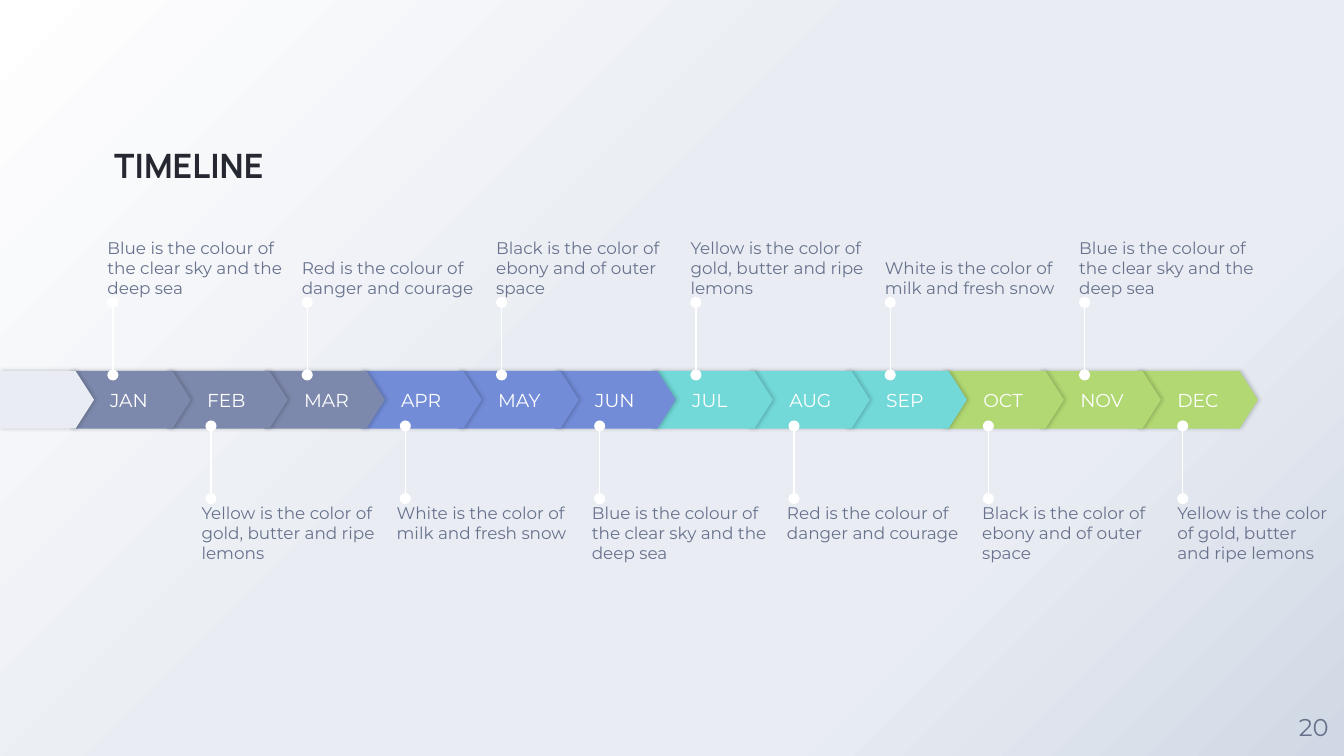
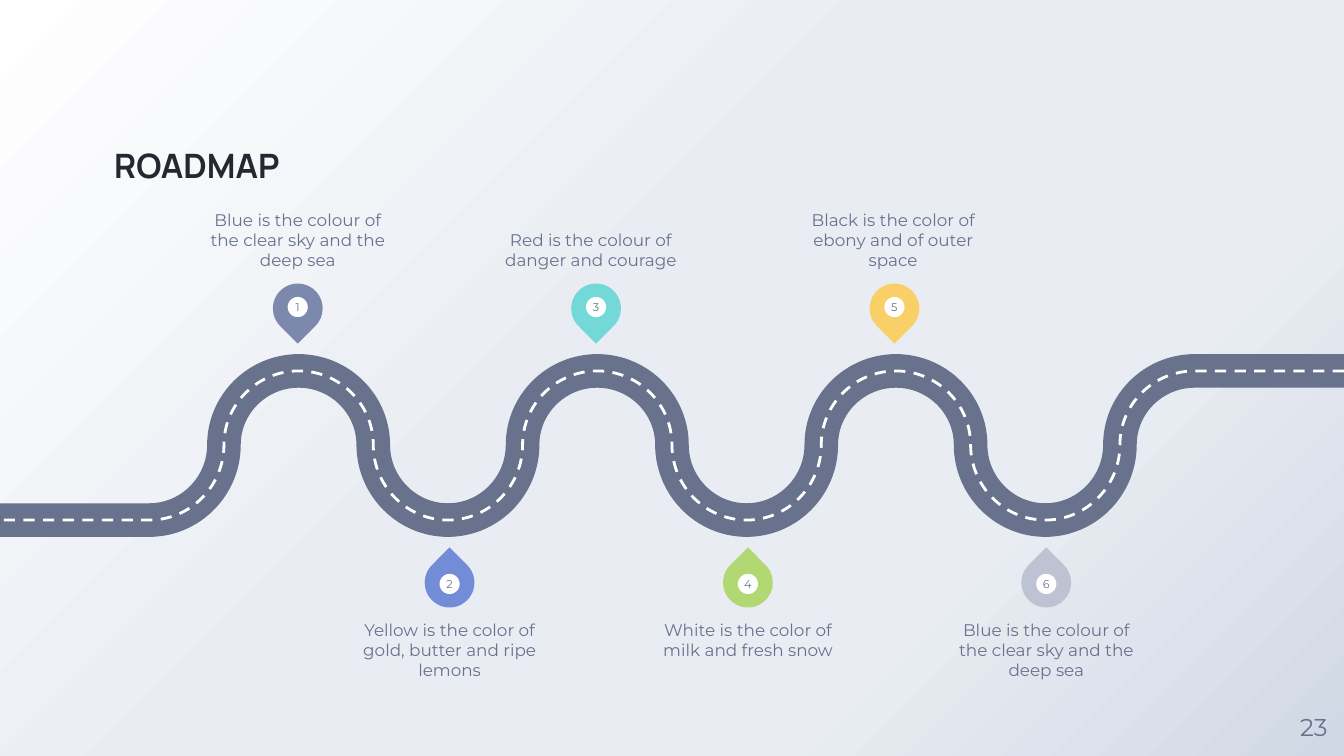
from pptx import Presentation
from pptx.dml.color import RGBColor
from pptx.enum.dml import MSO_LINE
from pptx.enum.shapes import MSO_CONNECTOR, MSO_SHAPE
from pptx.enum.text import MSO_ANCHOR, MSO_AUTO_SIZE, PP_ALIGN
from pptx.oxml import parse_xml
from pptx.oxml.ns import nsdecls, qn
from pptx.util import Inches, Pt

LEFT, CENTER = PP_ALIGN.LEFT, PP_ALIGN.CENTER
TOP, MIDDLE, BOTTOM = MSO_ANCHOR.TOP, MSO_ANCHOR.MIDDLE, MSO_ANCHOR.BOTTOM
ARROW, DROP, OVAL = MSO_SHAPE.PENTAGON, MSO_SHAPE.TEAR, MSO_SHAPE.OVAL
STRAIGHT, DASH, FIXED = MSO_CONNECTOR.STRAIGHT, MSO_LINE.DASH, MSO_AUTO_SIZE.NONE

HEAD, BODY = "Manrope", "Montserrat"
INK, GREY, WHITE, PALE = "252831", "68728D", "FFFFFF", "E9EDF3"
SLATE, BLUE, TEAL, GREEN = "7D89AC", "728CD8", "72D8D8", "B1D872"
GOLD, SILVER = "F8D067", "BDC3D3"
STOPS = ((0, WHITE), (44, PALE), (72, PALE), (100, "D0D8E5"))

MONTHS = "JAN FEB MAR APR MAY JUN JUL AUG SEP OCT NOV DEC".split()
SEASONS = (SLATE, BLUE, TEAL, GREEN)
NOTES = (
    "Blue is the colour of the clear sky and the deep sea",
    "Red is the colour of danger and courage",
    "Black is the color of ebony and of outer space",
    "Yellow is the color of gold, butter and ripe lemons",
    "White is the color of milk and fresh snow",
)
SHADE = (
    f'<a:effectLst {nsdecls("a")}><a:outerShdw blurRad="27940" dist="10160" dir="0">'
    '<a:srgbClr val="000000"><a:alpha val="20000"/></a:srgbClr>'
    "</a:outerShdw></a:effectLst>"
)


def rgb(code):
    """Turn a hex string into a colour."""
    return RGBColor.from_string(code)


def box(*sizes):
    """Turn numbers into lengths in inches."""
    return [Inches(size) for size in sizes]


def paint(master):
    """Give the master its diagonal gradient."""
    stops = "".join(
        f'<a:gs pos="{pos * 1000}"><a:srgbClr val="{code}"/></a:gs>'
        for pos, code in STOPS
    )
    back = parse_xml(
        f'<p:bg {nsdecls("p", "a")}><p:bgPr><a:gradFill rotWithShape="1">'
        f'<a:gsLst>{stops}</a:gsLst><a:path path="circle">'
        '<a:fillToRect r="100000" b="100000"/></a:path></a:gradFill>'
        "<a:effectLst/></p:bgPr></p:bg>"
    )
    base = master.element.cSld
    old = base.find(qn("p:bg"))
    if old is not None:
        base.remove(old)
    base.insert(0, back)


def write(shape, text, size, color=GREY, font=BODY, align=LEFT, anchor=TOP,
          inset=0, bold=False):
    """Fill a shape with one styled paragraph."""
    frame = shape.text_frame
    frame.text = text
    frame.word_wrap = True
    frame.auto_size = FIXED
    frame.vertical_anchor = anchor
    frame.margin_left = Inches(inset)
    frame.margin_right = frame.margin_top = frame.margin_bottom = 0
    para = frame.paragraphs[0]
    para.alignment = align
    para.font.name = font
    para.font.size = Pt(size)
    para.font.bold = bold
    para.font.color.rgb = rgb(color)


def label(slide, area, text, size=9, **style):
    """Add a text box."""
    write(slide.shapes.add_textbox(*box(*area)), text, size, **style)


def solid(shapes, kind, area, color):
    """Add a plain filled shape."""
    shape = shapes.add_shape(kind, *box(*area))
    shape.shadow.inherit = False
    shape.fill.solid()
    shape.fill.fore_color.rgb = rgb(color)
    shape.line.fill.background()
    return shape


def arrow(slide, left, width, color):
    """Add one shaded step of the time band."""
    shape = solid(slide.shapes, ARROW, (left, 2.76, width, 0.43), color)
    shape.adjustments[0] = 0.32
    props = shape.element.spPr
    props.replace(props.find(qn("a:effectLst")), parse_xml(SHADE))
    return shape


def stem(slide, x, low, high):
    """Add an upright line with round ends."""
    line = slide.shapes.add_connector(STRAIGHT, *box(x, low, x, high))
    line.line.color.rgb = rgb(WHITE)
    line.line.width = Pt(0.75)
    props = line.element.spPr
    for end in ("headEnd", "tailEnd"):
        props.find(qn("a:ln")).append(
            parse_xml(f'<a:{end} {nsdecls("a")} type="oval"/>'))
    props.append(parse_xml(f'<a:effectLst {nsdecls("a")}/>'))


def curve(track):
    """Turn all but the first and last lines into quarter arcs."""
    lines = track.findall(qn("a:lnTo"))
    spots = [(int(line[0].get("x")), int(line[0].get("y"))) for line in lines]
    pull = 0.55
    for i, line in enumerate(lines[1:-1]):
        (x, y), (u, v) = spots[i:i + 2]
        across, down = round(pull * (u - x)), round(pull * (v - y))
        if i % 2:
            pair = (x, y + down), (u - across, v)
        else:
            pair = (x + across, y), (u, v - down)
        marks = "".join(f'<a:pt x="{p}" y="{q}"/>' for p, q in (*pair, (u, v)))
        track.replace(line, parse_xml(
            f'<a:cubicBezTo {nsdecls("a")}>{marks}</a:cubicBezTo>'))


def road(slide, color, width, dash=None):
    """Draw the winding road as one open line."""
    high, mid, low = 2.76, 3.31, 3.87
    turns = [((16 - i) * 5 / 9, (high, mid, low, mid)[i % 4]) for i in range(15)]
    build = slide.shapes.build_freeform(*box(10, high))
    build.add_line_segments([box(*spot) for spot in (*turns, (0, low))], close=False)
    shape = build.convert_to_shape()
    curve(shape.element.find(".//" + qn("a:path")))
    shape.shadow.inherit = False
    shape.fill.background()
    shape.line.color.rgb = rgb(color)
    shape.line.width = Pt(width)
    if dash:
        shape.line.dash_style = dash


def pin(slide, left, top, turn, drop, color, text):
    """Add a numbered map pin."""
    group = slide.shapes.add_group_shape().shapes
    solid(group, DROP, (left, top, 0.37, 0.37), color).rotation = turn
    dot = solid(group, OVAL, (left + 0.11, top + drop, 0.15, 0.15), WHITE)
    write(dot, text, 6, align=CENTER, anchor=MIDDLE)


def start(deck, title, page):
    """Add a slide with its title and page number."""
    slide = deck.slides.add_slide(deck.slide_layouts[5])
    head = slide.shapes.title
    head.left, head.top, head.width, head.height = box(0.85, 0.44, 3.92, 0.94)
    write(head, title, 18, INK, HEAD, anchor=BOTTOM, bold=True)
    label(slide, (9.55, 5.18, 0.45, 0.45), page, 13, align=CENTER, anchor=MIDDLE)
    return slide


def year(deck):
    """Build the timeline slide."""
    slide = start(deck, "TIMELINE", "20")
    for i, month in reversed(list(enumerate(MONTHS))):
        step = arrow(slide, 0.52 + i * 7.94 / 11, 0.9, SEASONS[i // 3])
        write(step, month, 10, WHITE, anchor=MIDDLE, inset=0.3)
    arrow(slide, 0, 0.7, PALE)
    gap = 7.23 / 5
    for j in range(6):
        stem(slide, 0.84 + j * gap, 2.79, 2.25)
        label(slide, (0.8 + j * gap, 1.64, 1.37, 0.58), NOTES[j % 5], anchor=BOTTOM)
    for j in range(6):
        left = 1.5 + j * 7.26 / 5
        stem(slide, 1.57 + j * gap, 3.71, 3.17)
        label(slide, (left, 3.74, min(1.37, 9.89 - left), 0.58), NOTES[(j + 3) % 5])


def route(deck):
    """Build the roadmap slide."""
    slide = start(deck, "ROADMAP", "23")
    road(slide, GREY, 18)
    road(slide, WHITE, 1.5, DASH)
    gap = 2.22
    for j, (color, left) in enumerate(zip((SLATE, TEAL, GOLD), (1.51, 3.69, 5.94))):
        pin(slide, 2.03 + j * gap, 2.11, 135, 0.1, color, str(2 * j + 1))
        label(slide, (left, 1.43, 1.41, 0.58), NOTES[j], align=CENTER, anchor=BOTTOM)
    for j, color in enumerate((BLUE, GREEN, SILVER)):
        pin(slide, 3.16 + j * gap, 4.15, 315, 0.12, color, str(2 * j + 2))
        label(slide, (2.64 + j * gap, 4.61, 1.41, 0.58), NOTES[(j + 3) % 5],
              align=CENTER)


def main():
    """Build and save the deck."""
    deck = Presentation()
    deck.slide_width, deck.slide_height = box(10, 10 * 9 / 16)
    paint(deck.slide_master)
    year(deck)
    route(deck)
    deck.save("out.pptx")


if __name__ == "__main__":
    main()
